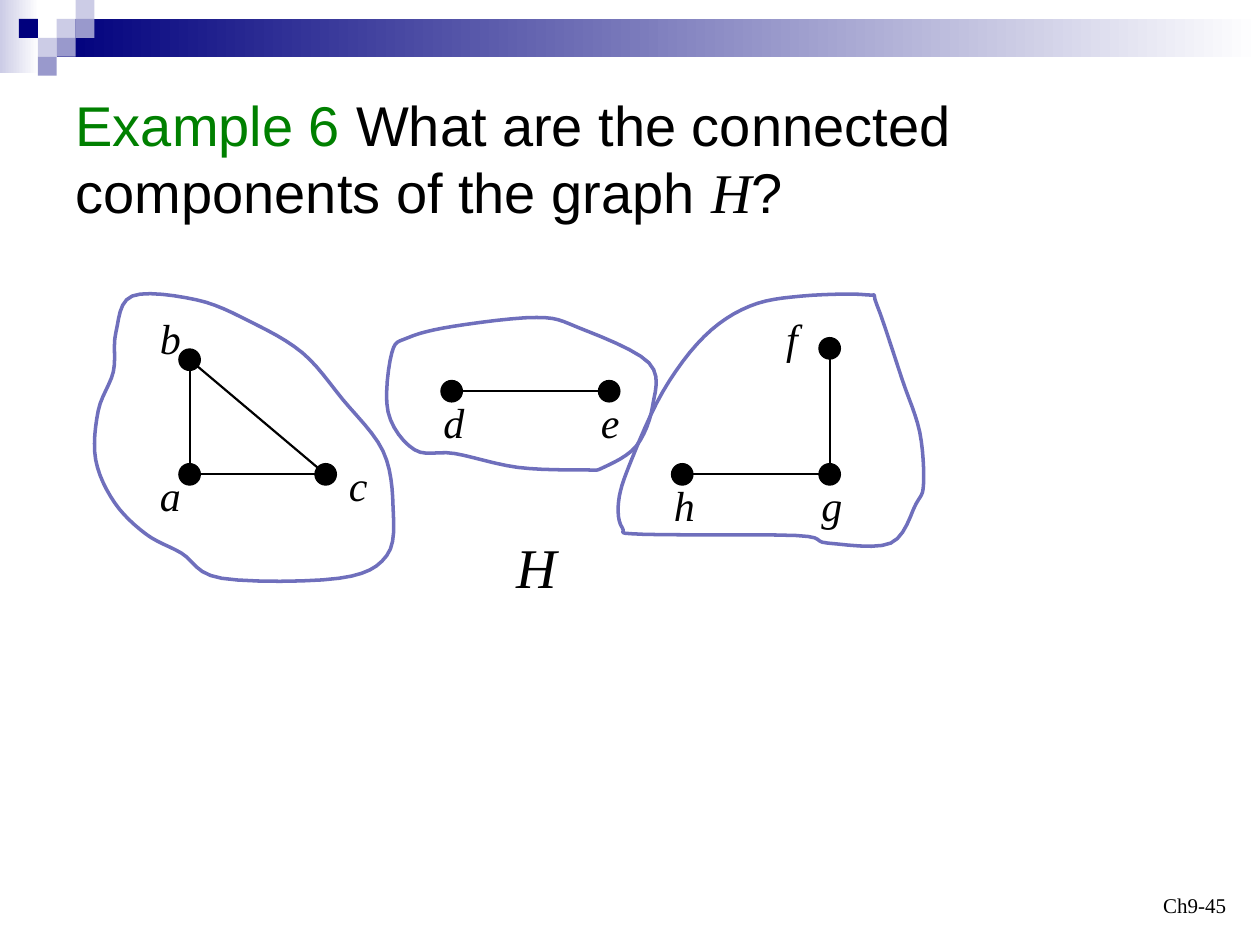
from dataclasses import dataclass

from lxml import etree
from pptx import Presentation
from pptx.dml.color import RGBColor
from pptx.enum.shapes import MSO_CONNECTOR, MSO_SHAPE
from pptx.enum.text import MSO_ANCHOR, MSO_AUTO_SIZE, PP_ALIGN
from pptx.oxml.ns import qn
from pptx.util import Inches, Pt

RECT, OVAL = MSO_SHAPE.RECTANGLE, MSO_SHAPE.OVAL
STRAIGHT = MSO_CONNECTOR.STRAIGHT
TOP, BOTTOM = MSO_ANCHOR.TOP, MSO_ANCHOR.BOTTOM
LEFT, RIGHT = PP_ALIGN.LEFT, PP_ALIGN.RIGHT
NO_FIT = MSO_AUTO_SIZE.NONE


@dataclass(frozen=True)
class Theme:
    navy: str = "00007D"
    lavender: str = "9999CC"
    pale: str = "CCCCE6"
    white: str = "FFFFFF"
    black: str = "000000"
    green: str = "008000"
    ink: str = "6F6FBC"
    sans: str = "Arial"
    serif: str = "Times New Roman"
    large: int = 32
    label: int = 24
    small: int = 12


THEME = Theme()

# Header squares, one letter per grid cell
CELL = 0.15
MOSAIC = ["....P", ".N.PL", "..PL.", "..L.."]
MOSAIC_COLORS = {"P": THEME.pale, "N": THEME.navy, "L": THEME.lavender}

# Graph H: top left of each node, and its edges
NODE = 0.17
NODES = {
    "a": (1.42, 3.68), "b": (1.42, 2.77), "c": (2.5, 3.68),
    "d": (3.5, 3.02), "e": (4.75, 3.02),
    "f": (6.5, 2.68), "g": (6.5, 3.68), "h": (5.33, 3.68),
}
EDGES = ["ba", "ac", "de", "hg", "fg", "bc"]

# Label offset from its node; most labels stand below
BELOW = (-0.08, 0.08)
LABEL_OFFSETS = {"a": (-0.25, 0), "b": (-0.25, -0.34),
                 "c": (0.17, -0.08), "f": (-0.36, -0.25)}

# Guide points of the curves around the connected components
LOOPS = [
    [(1.05, 2.35), (1.56, 2.38), (1.98, 2.55), (2.4, 2.8), (2.72, 3.17),
     (3.04, 3.58), (3.12, 4.02), (3.07, 4.41), (2.69, 4.59), (1.76, 4.59),
     (1.44, 4.39), (1.16, 4.24), (0.91, 3.99), (0.76, 3.65), (0.78, 3.26),
     (0.9, 2.95), (0.92, 2.64)],
    [(3.24, 2.68), (3.6, 2.59), (4.26, 2.52), (4.59, 2.6), (5.15, 2.88),
     (5.18, 3.22), (5.05, 3.54), (4.79, 3.71), (4.64, 3.73), (4.11, 3.71),
     (3.61, 3.6), (3.29, 3.57), (3.08, 3.27), (3.11, 2.8)],
    [(6.88, 2.34), (6.36, 2.35), (5.95, 2.43), (5.59, 2.67), (5.26, 3.11),
     (5, 3.68), (4.91, 3.98), (4.94, 4.19), (5.1, 4.24), (6.32, 4.25),
     (6.57, 4.31), (7.07, 4.31), (7.27, 4), (7.33, 3.84), (7.3, 3.43),
     (7.16, 3.01), (6.96, 2.42)],
]
STEPS = 6


def rgb(color):
    return RGBColor.from_string(color)


def box(x, y, w, h):
    return [Inches(v) for v in (x, y, w, h)]


def smooth(points):
    """Closed Catmull-Rom curve through the points."""
    n = len(points)
    curve = []
    for i in range(n):
        quad = [points[(i + k) % n] for k in (-1, 0, 1, 2)]
        for step in range(STEPS):
            t = step / STEPS
            curve.append(tuple(
                Inches(b + t / 2 * (c - a + t * (2 * a - 5 * b + 4 * c - d
                                                 + t * (3 * (b - c) + d - a))))
                for a, b, c, d in zip(*quad)))
    return curve


def add_block(s, kind, x, y, w, h, color, fade_to=None, outline=None):
    sp = s.shapes.add_shape(kind, *box(x, y, w, h))
    sp.shadow.inherit = False
    if fade_to:
        sp.fill.gradient()
        sp.fill.gradient_angle = 0
        for stop, c in zip(sp.fill.gradient_stops, (color, fade_to)):
            stop.color.rgb = rgb(c)
    else:
        sp.fill.solid()
        sp.fill.fore_color.rgb = rgb(color)
    if outline:
        sp.line.color.rgb = rgb(outline)
        sp.line.width = Pt(0.75)
    else:
        sp.line.fill.background()


def add_edge(s, start, end):
    centres = [v + NODE / 2 for v in NODES[start] + NODES[end]]
    line = s.shapes.add_connector(STRAIGHT, *box(*centres))
    line.line.color.rgb = rgb(THEME.black)
    line.line.width = Pt(1.25)
    etree.SubElement(line._element.spPr, qn("a:effectLst"))


def add_loop(s, points):
    start, *rest = smooth(points)
    builder = s.shapes.build_freeform(*start)
    builder.add_line_segments(rest, close=True)
    sp = builder.convert_to_shape()
    sp.shadow.inherit = False
    sp.fill.background()
    sp.line.color.rgb = rgb(THEME.ink)
    sp.line.width = Pt(2)


def add_run(p, text, size, font, color=THEME.black, italic=False):
    r = p.add_run()
    r.text = text
    r.font.size = Pt(size)
    r.font.name = font
    r.font.color.rgb = rgb(color)
    r.font.italic = italic


def add_text(s, x, y, w, h, text, size, italic=True, wrap=False, align=LEFT, anchor=TOP):
    tf = s.shapes.add_textbox(*box(x, y, w, h)).text_frame
    tf.word_wrap = wrap
    tf.vertical_anchor = anchor
    p = tf.paragraphs[0]
    p.alignment = align
    add_run(p, text, size, THEME.serif, italic=italic)


def set_title(s):
    title = s.shapes.title
    title.left, title.top, title.width, title.height = box(0.5, 0.67, 8.67, 1.17)
    tf = title.text_frame
    tf.auto_size = NO_FIT
    tf.word_wrap = True
    tf.vertical_anchor = TOP
    p = tf.paragraphs[0]
    p.alignment = LEFT
    add_run(p, "Example 6 ", THEME.large, THEME.sans, THEME.green)
    add_run(p, "What are the connected components of the graph ", THEME.large, THEME.sans)
    add_run(p, "H", THEME.large, THEME.serif, italic=True)
    add_run(p, "?", THEME.large, THEME.sans)


def main():
    prs = Presentation()
    prs.slide_width, prs.slide_height = Inches(10), Inches(7.5)
    s = prs.slides.add_slide(prs.slide_layouts[5])

    # Header band
    add_block(s, RECT, 0, 0, 0.31, 0.58, THEME.pale, fade_to=THEME.white)
    add_block(s, RECT, 0.45, 0.15, 9.55, 0.3, THEME.navy, fade_to=THEME.white)
    for row, cells in enumerate(MOSAIC):
        for col, key in enumerate(cells):
            if key in MOSAIC_COLORS:
                add_block(s, RECT, col * CELL, row * CELL, CELL, CELL, MOSAIC_COLORS[key])

    set_title(s)

    # Graph H
    for x, y in NODES.values():
        add_block(s, OVAL, x, y, NODE, NODE, THEME.black, outline=THEME.black)
    for start, end in EDGES:
        add_edge(s, start, end)
    for name, (x, y) in NODES.items():
        dx, dy = LABEL_OFFSETS.get(name, BELOW)
        add_text(s, x + dx, y + dy, 0.36, 0.5, name, THEME.label)
    add_text(s, 4, 4.18, 0.52, 0.64, "H", THEME.large)

    # Connected components
    for points in LOOPS:
        add_loop(s, points)

    # Page number
    add_text(s, 7.5, 6.83, 2.33, 0.5, "Ch9-45", THEME.small, italic=False,
             wrap=True, align=RIGHT, anchor=BOTTOM)

    prs.save("out.pptx")


if __name__ == "__main__":
    main()
